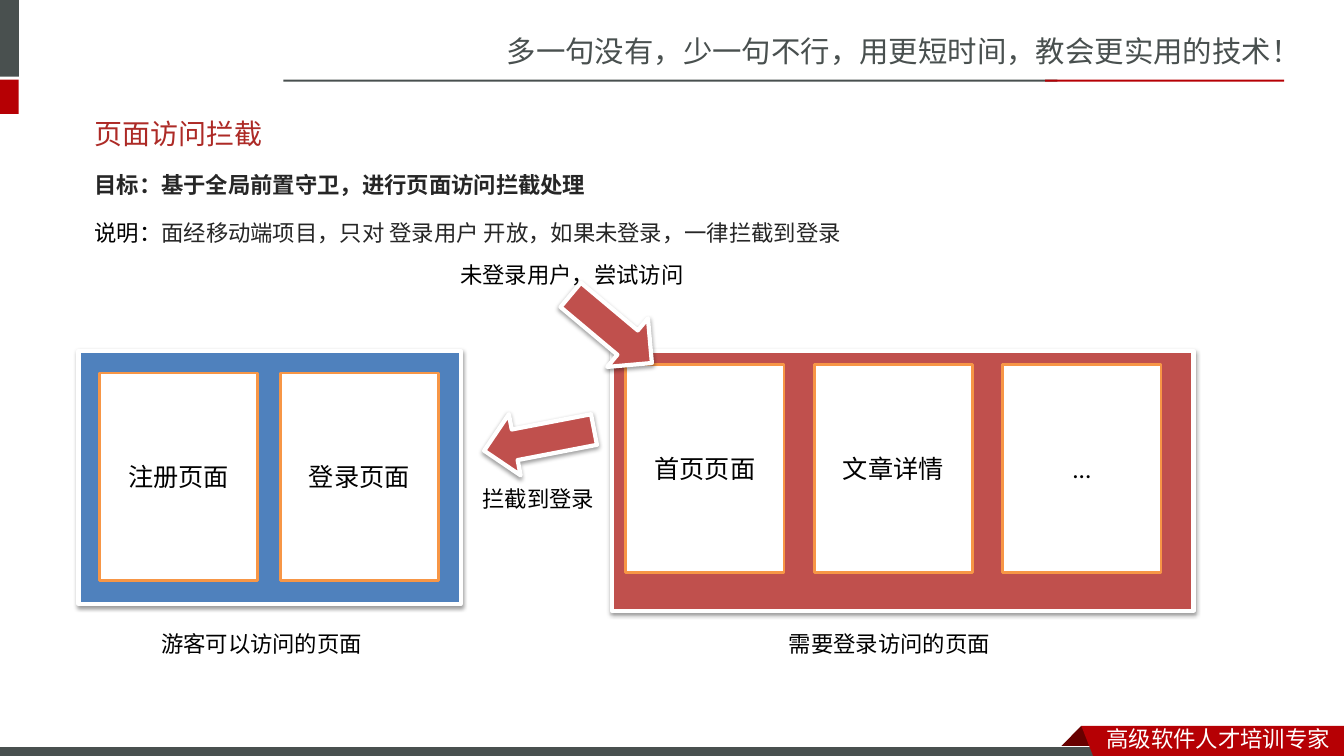
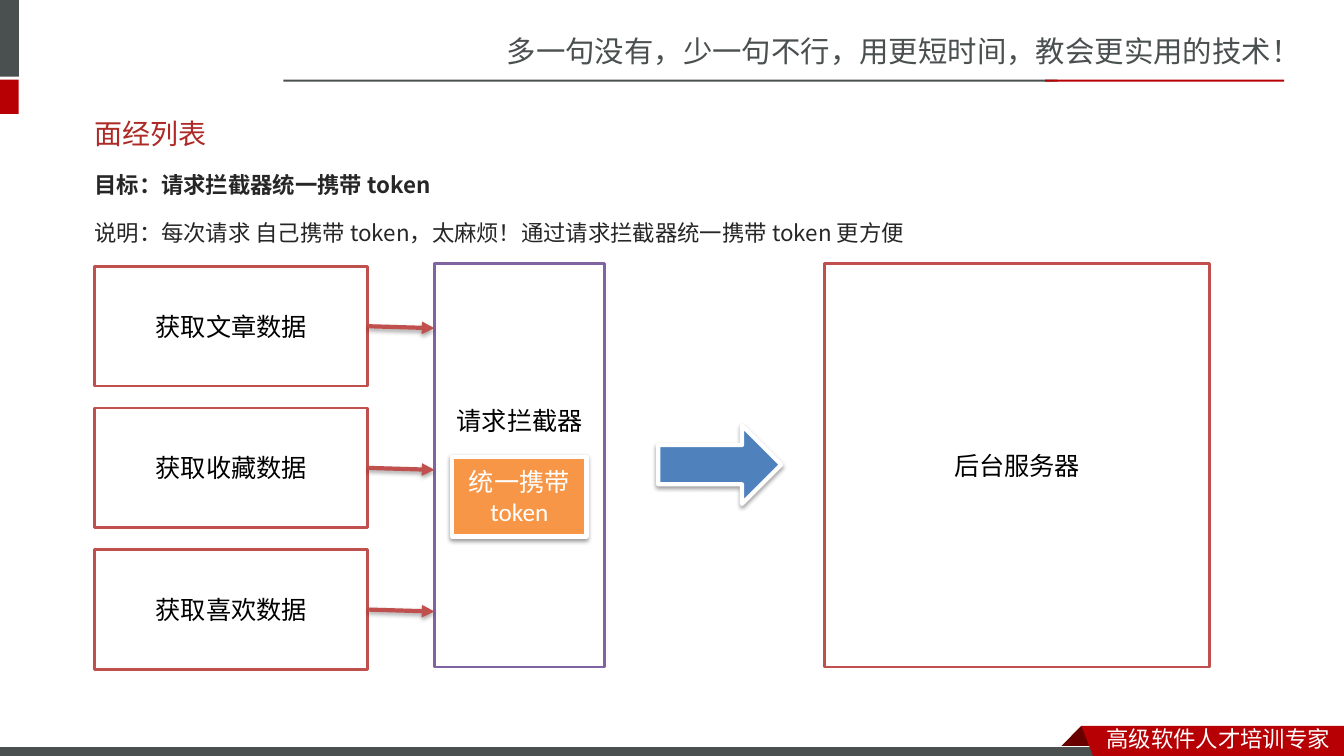
from lxml import etree
from pptx import Presentation
from pptx.dml.color import RGBColor
from pptx.enum.shapes import MSO_CONNECTOR, MSO_SHAPE
from pptx.enum.text import MSO_ANCHOR, PP_ALIGN
from pptx.oxml.ns import qn
from pptx.util import Cm, Pt

RECT = MSO_SHAPE.RECTANGLE
RIGHT_ARROW = MSO_SHAPE.RIGHT_ARROW
DOWN_ARROW = MSO_SHAPE.DOWN_ARROW
STRAIGHT = MSO_CONNECTOR.STRAIGHT
MIDDLE = MSO_ANCHOR.MIDDLE
TOP = MSO_ANCHOR.TOP
CENTER = PP_ALIGN.CENTER

GRAY = RGBColor(0x49, 0x50, 0x4F)
CRIMSON = RGBColor(0xB6, 0x00, 0x04)
MAROON = RGBColor(0x68, 0x00, 0x00)
TITLE_RED = RGBColor(0xAD, 0x2A, 0x26)
INK = RGBColor(0x26, 0x26, 0x26)
BLACK = RGBColor(0x00, 0x00, 0x00)
WHITE = RGBColor(0xFF, 0xFF, 0xFF)
BLUE = RGBColor(0x4F, 0x81, 0xBD)
RED = RGBColor(0xC0, 0x50, 0x4D)
ORANGE = RGBColor(0xF7, 0x96, 0x46)
PURPLE = RGBColor(0x80, 0x64, 0xA2)

BODY_FONT = "Noto Sans CJK JP"
BAND_FONT = "Noto Sans CJK SC"
SHAPE_FONT = "Calibri"


class Deck:
    """Hold the presentation, its style and the current slide."""

    def __init__(self):
        self.prs = Presentation()
        self.prs.slide_width = Cm(33.87)
        self.prs.slide_height = Cm(19.05)
        self.s = None

    def new_slide(self, title, goal, lead_color, description):
        self.s = self.prs.slides.add_slide(self.prs.slide_layouts[6])
        self.bands()
        self.text(2.13, 3.86, 26.24, 1.45, "目标：" + goal, color=INK, bold=True)
        self.text(2.13, 2.64, 10.67, 1.45, title, 20, TITLE_RED,
                  spacing=1, anchor=MIDDLE)
        p = self.text(2.13, 5.05, 25.5, 1.19, "说明：", color=lead_color)
        r = p.add_run()
        r.text = description
        self.style(r, 16, INK, BODY_FONT)

    def bands(self):
        self.text(12.52, 0.71, 21.35, 1.19,
                  "多一句没有，少一句不行，用更短时间，教会更实用的技术！",
                  21, GRAY, BAND_FONT, spacing=1)
        self.shape(0, 0, 0.48, 1.93, GRAY)
        self.shape(0, 2.01, 0.47, 0.86, CRIMSON)
        self.shape(7.14, 2.01, 19.51, 0.05, GRAY)
        self.shape(26.34, 2.01, 6.02, 0.05, CRIMSON)
        self.outline([(27.25, 18.29), (27.81, 18.85), (27.79, 18.87),
                      (26.72, 18.87), (26.7, 18.85)], MAROON)
        self.shape(-0.03, 18.82, 27.94, 0.3, GRAY, WHITE, 0.75)
        self.outline([(27.25, 18.29), (33.87, 18.29), (33.87, 19.15),
                      (27.58, 19.13)], CRIMSON)
        self.text(27.64, 18.16, 6.23, 0.94, "高级软件人才培训专家",
                  16, WHITE, BAND_FONT, spacing=1)

    def style(self, r, size, color, font, bold=False):
        r.font.size = Pt(size)
        r.font.color.rgb = color
        r.font.name = font
        r.font.bold = bold
        ea = etree.SubElement(r.font._element, qn("a:ea"))
        ea.set("typeface", BAND_FONT if font == SHAPE_FONT else font)

    def text(self, x, y, w, h, text, size=16, color=BLACK, font=BODY_FONT,
             bold=False, spacing=1.5, anchor=TOP):
        tf = self.s.shapes.add_textbox(Cm(x), Cm(y), Cm(w), Cm(h)).text_frame
        tf.word_wrap = True
        tf.vertical_anchor = anchor
        tf.text = text
        p = tf.paragraphs[0]
        p.line_spacing = spacing
        self.style(p.runs[0], size, color, font, bold)
        return p

    def paint(self, sp, fill, line=None, width=0):
        sp.shadow.inherit = False
        sp.fill.solid()
        sp.fill.fore_color.rgb = fill
        if line is None:
            sp.line.fill.background()
        else:
            sp.line.color.rgb = line
            sp.line.width = Pt(width)

    def shape(self, x, y, w, h, fill, line=None, width=0, kind=RECT):
        sp = self.s.shapes.add_shape(kind, Cm(x), Cm(y), Cm(w), Cm(h))
        self.paint(sp, fill, line, width)
        return sp

    def outline(self, points, fill):
        corners = [(Cm(x), Cm(y)) for x, y in points]
        builder = self.s.shapes.build_freeform(*corners[0])
        builder.add_line_segments(corners[1:], close=True)
        self.paint(builder.convert_to_shape(), fill)

    def shadow(self, sp, distance, opacity):
        spPr = sp._element.spPr
        effects = spPr.find(qn("a:effectLst"))
        if effects is None:
            effects = etree.SubElement(spPr, qn("a:effectLst"))
        outer = etree.SubElement(effects, qn("a:outerShdw"), blurRad="40000",
                                 dist=str(distance), dir="5400000", rotWithShape="0")
        color = etree.SubElement(outer, qn("a:srgbClr"), val="000000")
        etree.SubElement(color, qn("a:alpha"), val=str(opacity * 1000))

    def raised(self, x, y, w, h, fill, kind=RECT, rotation=0):
        sp = self.shape(x, y, w, h, fill, WHITE, 3, kind)
        sp.rotation = rotation
        self.shadow(sp, 20000, 38)
        return sp

    def label(self, sp, text, color=BLACK):
        tf = sp.text_frame
        tf.word_wrap = True
        tf.vertical_anchor = MIDDLE
        tf.text = text
        for p in tf.paragraphs:
            p.alignment = CENTER
            for r in p.runs:
                self.style(r, 18, color, SHAPE_FONT)

    def card(self, x, y, w, h, text, line):
        sp = self.shape(x, y, w, h, WHITE, line, 2)
        self.label(sp, text)
        return sp

    def pages(self, x, y, pitch, names):
        for i, name in enumerate(names):
            self.card(x + i * pitch, y, 3.99, 5.23, name, ORANGE)

    def arrow(self, box, x, y):
        c = self.s.shapes.add_connector(STRAIGHT, 0, 0, Cm(x), Cm(y))
        c.begin_connect(box, 3)
        c.line.color.rgb = RED
        c.line.width = Pt(3)
        ln = c._element.spPr.find(qn("a:ln"))
        etree.SubElement(ln, qn("a:tailEnd"), type="triangle")
        self.shadow(c, 23000, 35)


def interception(deck):
    deck.new_slide("页面访问拦截", "基于全局前置守卫，进行页面访问拦截处理", BLACK,
                   "面经移动端项目，只对 登录用户 开放，如果未登录，一律拦截到登录")
    deck.raised(1.98, 8.84, 9.63, 6.38, BLUE)
    deck.pages(2.51, 9.4, 4.55, ["注册页面", "登录页面"])
    deck.text(3.81, 15.42, 5.69, 1.19, "游客可以访问的页面")
    deck.raised(15.42, 8.84, 14.66, 6.55, RED)
    deck.pages(15.77, 9.19, 4.75, ["首页页面", "文章详情", "..."])
    deck.text(19.63, 15.42, 5.69, 1.19, "需要登录访问的页面")
    deck.raised(14.07, 7.49, 2.67, 1.6, RED, RIGHT_ARROW, 40)
    deck.text(11.35, 6.12, 7.09, 1.19, "未登录用户，尝试访问")
    deck.raised(12.8, 9.68, 1.57, 2.82, RED, DOWN_ARROW, 79.1)
    deck.text(11.91, 11.76, 7.09, 1.19, "拦截到登录")


def token_requests(deck):
    deck.new_slide("面经列表", "请求拦截器统一携带 token", INK,
                   "每次请求 自己携带 token，太麻烦！通过请求拦截器统一携带 token 更方便")
    top, height, pitch = 6.71, 3.02, 3.57
    interceptor = deck.card(10.95, 6.65, 4.29, 10.16, "请求拦截器", PURPLE)
    interceptor.text_frame.margin_bottom = Cm(2.39)
    for i, name in enumerate(["获取文章数据", "获取收藏数据", "获取喜欢数据"]):
        y = top + i * pitch
        box = deck.card(2.39, y, 6.88, height, name, RED)
        deck.arrow(box, 10.95, y + height / 2 + 0.05)
    deck.raised(16.59, 10.72, 3.1, 1.98, BLUE, RIGHT_ARROW)
    deck.card(20.78, 6.65, 9.7, 10.16, "后台服务器", RED)
    token = deck.raised(11.4, 11.51, 3.38, 2.01, ORANGE)
    deck.label(token, "统一携带\ntoken", WHITE)


def main():
    deck = Deck()
    interception(deck)
    token_requests(deck)
    deck.prs.save("out.pptx")


if __name__ == "__main__":
    main()
